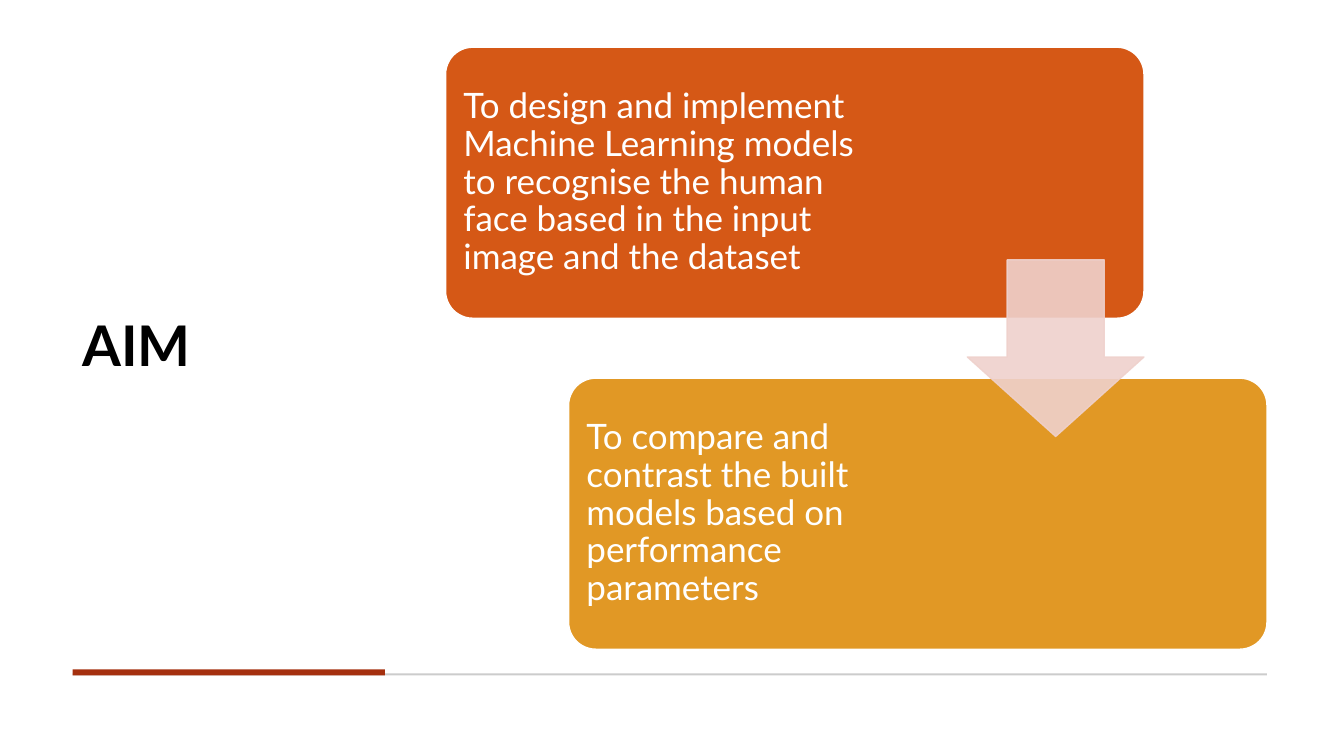
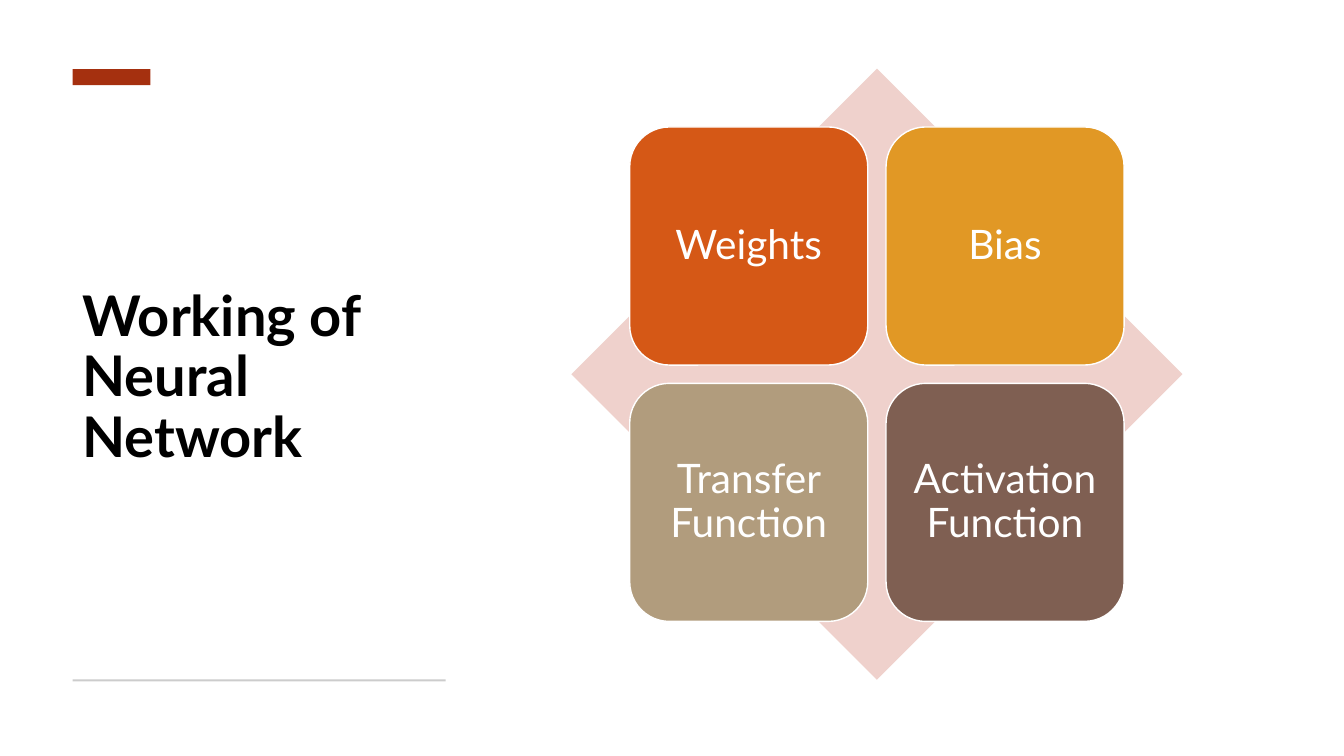
from dataclasses import dataclass

from lxml import etree
from pptx import Presentation
from pptx.dml.color import RGBColor
from pptx.enum.shapes import MSO_SHAPE
from pptx.enum.text import MSO_ANCHOR, PP_ALIGN
from pptx.oxml.ns import qn
from pptx.util import Cm, Pt

RECTANGLE = MSO_SHAPE.RECTANGLE
ROUNDED = MSO_SHAPE.ROUNDED_RECTANGLE
DIAMOND = MSO_SHAPE.DIAMOND
DOWN_ARROW = MSO_SHAPE.DOWN_ARROW
MIDDLE = MSO_ANCHOR.MIDDLE
LEFT, CENTER = PP_ALIGN.LEFT, PP_ALIGN.CENTER


@dataclass(frozen=True)
class Theme:
    font: str = "Lato"
    title_size: int = 40
    card_size: int = 25
    tile_size: int = 29
    line_spacing: float = 0.9
    margin: float = 1.83
    rule_height: float = 0.05
    black: str = "000000"
    white: str = "FFFFFF"
    rule: str = "CCCCCC"
    accent: str = "A5300F"
    blush: str = "EFD1CC"
    orange: str = "D55816"
    amber: str = "E19825"
    sand: str = "B19C7D"
    brown: str = "7F5F52"


THEME = Theme()


def rgb(color):
    return RGBColor.from_string(color)


def add_block(page, kind, left, top, width, height, fill, line=None):
    block = page.shapes.add_shape(kind, Cm(left), Cm(top), Cm(width), Cm(height))
    block.shadow.inherit = False
    block.fill.solid()
    block.fill.fore_color.rgb = rgb(fill)
    if line:
        block.line.color.rgb = rgb(line)
        block.line.width = Pt(1)
    else:
        block.line.fill.background()
    return block


def set_opacity(shape, percent):
    """Apply the opacity to both the fill and the outline."""
    for color in shape._element.spPr.iter(qn("a:srgbClr")):
        etree.SubElement(color, qn("a:alpha"), val=str(percent * 1000))


def write_text(shape, text, size, color, align=LEFT, bold=False):
    frame = shape.text_frame
    frame.word_wrap = True
    frame.vertical_anchor = MIDDLE
    para = frame.paragraphs[0]
    para.text = text
    para.alignment = align
    para.line_spacing = THEME.line_spacing
    para.font.name = THEME.font
    para.font.size = Pt(size)
    para.font.bold = bold
    para.font.color.rgb = rgb(color)


def set_insets(shape, inset, right=None):
    frame = shape.text_frame
    frame.margin_left = frame.margin_top = frame.margin_bottom = Cm(inset)
    frame.margin_right = Cm(inset if right is None else right)


def add_title(page, text, top, width, height):
    box = page.shapes.add_textbox(Cm(THEME.margin), Cm(top), Cm(width), Cm(height))
    write_text(box, text, THEME.title_size, THEME.black, bold=True)


def add_rule(page, top, width):
    add_block(page, RECTANGLE, THEME.margin, top, width, THEME.rule_height, THEME.rule)


def add_accent(page, top, width, height):
    add_block(page, RECTANGLE, THEME.margin, top, width, height, THEME.accent)


def add_card(page, text, left, top, width, height, fill, right_inset):
    card = add_block(page, ROUNDED, left, top, width, height, fill, THEME.white)
    card.adjustments[0] = 0.1
    set_insets(card, 0.25, right_inset)
    write_text(card, text, THEME.card_size, THEME.white)


def add_tile(page, text, left, top, side, fill):
    tile = add_block(page, ROUNDED, left, top, side, side, fill, THEME.white)
    set_insets(tile, 0.3)
    write_text(tile, text, THEME.tile_size, THEME.white, CENTER)


def add_step_arrow(page, left, top, side):
    arrow = add_block(page, DOWN_ARROW, left, top, side, side, THEME.blush, THEME.blush)
    arrow.adjustments[0] = 0.55
    arrow.adjustments[1] = 0.45
    set_opacity(arrow, 90)


def build_aim(page):
    add_title(page, "AIM", 1.19, 7.87, 15.16)
    add_rule(page, 16.97, 30.1)
    add_accent(page, 16.87, 7.87, 0.15)
    cards = [
        ("To design and implement Machine Learning models to recognise "
         "the human face based in the input image and the dataset",
         THEME.orange, 6.9),
        ("To compare and contrast the built models based on "
         "performance parameters", THEME.amber, 7.8),
    ]
    for index, (text, fill, right_inset) in enumerate(cards):
        left, top = 11.23 + index * 3.1, 1.19 + index * 8.34
        add_card(page, text, left, top, 17.6, 6.83, fill, right_inset)
    add_step_arrow(page, 24.38, 6.55, 4.45)


def build_neural_network(page):
    add_title(page, "Working of Neural Network", 2.67, 9.4, 13.74)
    add_accent(page, 1.74, 1.96, 0.41)
    add_rule(page, 17.12, 9.4)

    left, top, span = 14.4, 1.73, 15.4
    add_block(page, DIAMOND, left, top, span, span, THEME.blush)
    tiles = [
        ("Weights", THEME.orange),
        ("Bias", THEME.amber),
        ("Transfer Function", THEME.sand),
        ("Activation Function", THEME.brown),
    ]
    side, gap = 6.0, 0.46
    offset = (span - 2 * side - gap) / 2
    for index, (text, fill) in enumerate(tiles):
        row, column = divmod(index, 2)
        add_tile(page, text, left + offset + column * (side + gap),
                 top + offset + row * (side + gap), side, fill)


def main():
    deck = Presentation()
    deck.slide_width, deck.slide_height = Cm(33.87), Cm(19.05)
    blank = deck.slide_layouts[6]
    for build in (build_aim, build_neural_network):
        build(deck.slides.add_slide(blank))
    deck.save("out.pptx")


if __name__ == "__main__":
    main()
